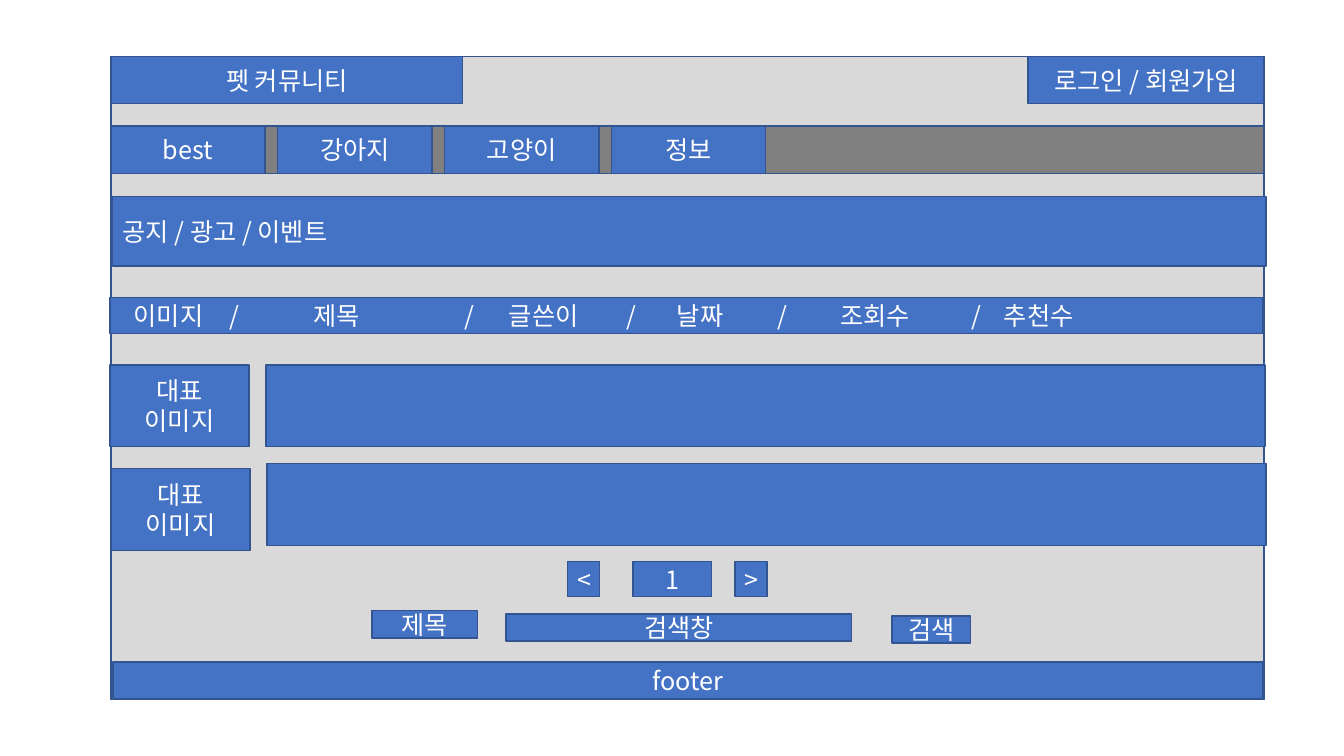
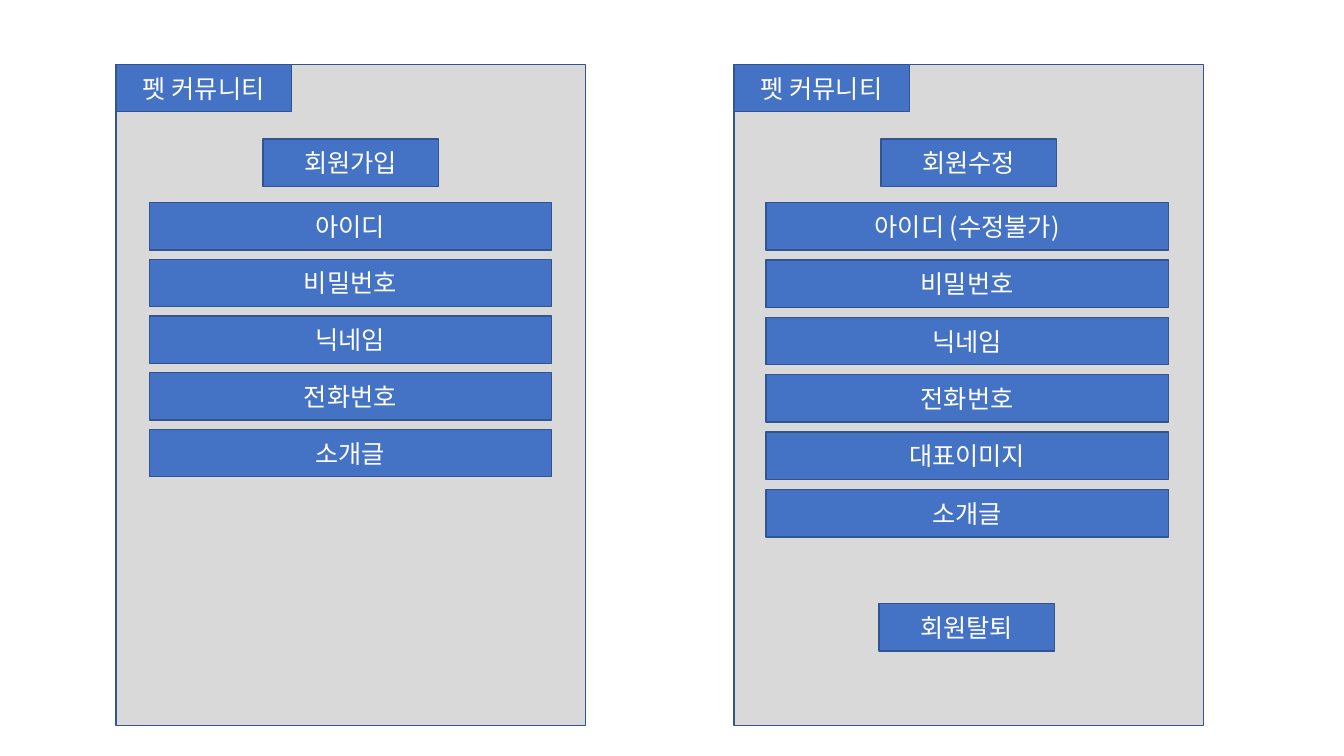
from dataclasses import dataclass

from pptx import Presentation
from pptx.dml.color import RGBColor
from pptx.enum.shapes import MSO_SHAPE
from pptx.enum.text import MSO_ANCHOR, PP_ALIGN
from pptx.oxml.ns import qn
from pptx.slide import Slide
from pptx.text.text import _Paragraph as Paragraph
from pptx.util import Pt
from lxml.etree import SubElement

# Shared style
BLUE = RGBColor(0x44, 0x72, 0xC4)
EDGE = RGBColor(0x32, 0x54, 0x91)
PANEL = RGBColor(0xD9, 0xD9, 0xD9)
GRAY = RGBColor(0x80, 0x80, 0x80)
WHITE = RGBColor(0xFF, 0xFF, 0xFF)
FONT = "Noto Sans CJK KR"
BAR_H = 33.8
SITE = "펫 커뮤니티"


@dataclass(frozen=True)
class Box:
    """A wireframe rectangle, measured in points."""
    x: float
    y: float
    w: float
    h: float
    text: str = ""
    fill: RGBColor = BLUE
    align: PP_ALIGN = PP_ALIGN.CENTER
    tabs: tuple[float, ...] = ()


@dataclass(frozen=True)
class Form:
    """A member form: panel, heading and a column of fields."""
    x: float
    heading: str
    fields: tuple[str, ...]
    field_x: float
    pitch: float


def style_paragraph(p: Paragraph, box: Box) -> None:
    p.alignment = box.align
    p.font.size = Pt(18)
    p.font.name = FONT
    p.font.color.rgb = WHITE
    props = p.font._element
    SubElement(props, qn("a:ea"), typeface=FONT)
    if box.tabs:
        tab_list = props.makeelement(qn("a:tabLst"))
        props.addprevious(tab_list)
        for stop in box.tabs:
            SubElement(tab_list, qn("a:tab"), pos=str(Pt(stop)), algn="l")


def draw_box(s: Slide, box: Box) -> None:
    sp = s.shapes.add_shape(MSO_SHAPE.RECTANGLE, Pt(box.x), Pt(box.y),
                            Pt(box.w), Pt(box.h))
    sp.shadow.inherit = False
    sp.fill.solid()
    sp.fill.fore_color.rgb = box.fill
    sp.line.color.rgb = EDGE
    sp.line.width = Pt(1)
    if box.text:
        tf = sp.text_frame
        tf.word_wrap = True
        tf.vertical_anchor = MSO_ANCHOR.MIDDLE
        tf.text = box.text
        for p in tf.paragraphs:
            style_paragraph(p, box)


def draw_form(s: Slide, form: Form) -> None:
    draw_box(s, Box(form.x, 46.1, 335.5, 472.3, fill=PANEL))
    draw_box(s, Box(form.x, 46.1, 125.3, BAR_H, SITE))
    draw_box(s, Box(form.x + 105.1, 99.4, 125.3, BAR_H, form.heading))
    for i, name in enumerate(form.fields):
        draw_box(s, Box(form.field_x, 144.7 + i * form.pitch, 287.3, BAR_H, name))


prs = Presentation()
prs.slide_width, prs.slide_height = Pt(960), Pt(540)
blank = prs.slide_layouts[6]

# Slide 1: community board
LEFT, WIDTH = 79.2, 823.7
MENU = ("best", "강아지", "고양이", "정보")
COLUMNS = ("이미지", "제목", "글쓴이", "날짜", "조회수", "추천수")
COLUMN_TABS = (10, 78.5, 138.5, 246.5, 278, 362, 398, 470, 514.5, 608.5, 631.5)

header = [
    Box(LEFT, 40.3, WIDTH, 459.4, fill=PANEL),
    Box(LEFT, 40.3, 251.3, BAR_H, SITE),
    Box(734.4, 40.3, 168.5, BAR_H, "로그인 / 회원가입"),
    Box(LEFT, 90, WIDTH, BAR_H, fill=GRAY),
]
menu = [Box(LEFT + i * 119.2, 90, 110.2, BAR_H, name)
        for i, name in enumerate(MENU)]
board = [
    Box(80.6, 140.4, WIDTH, 49.7, "공지 / 광고 / 이벤트", align=PP_ALIGN.LEFT),
    Box(78.5, 212.4, WIDTH, 25.9, "\t" + "\t/\t".join(COLUMNS),
        align=PP_ALIGN.LEFT, tabs=COLUMN_TABS),
]
for x, image_y, post_y in ((78.5, 260.6, 260.6), (79.2, 334.8, 331.2)):
    board += [Box(x, image_y, 99.4, 58.3, "대표\n이미지"),
              Box(x + 111.6, post_y, 713.5, 58.3)]
paging = [Box(x, 401, w, 25.2, text)
          for x, w, text in ((405.4, 23, "<"), (452.2, 56.2, "1"), (524.9, 23, ">"))]
search = [Box(x, y, w, 19.4, text)
          for x, y, w, text in ((265.7, 436.3, 75.6, "제목"),
                                (361.4, 438.5, 247, "검색창"),
                                (637.2, 439.9, 56.2, "검색"))]
footer = [Box(80.6, 473, 821.5, 25.9, "footer")]

s = prs.slides.add_slide(blank)
for box in header + menu + board + paging + search + footer:
    draw_box(s, box)

# Slide 2: sign-up and profile forms
FORMS = (
    Form(82.8, "회원가입",
         ("아이디", "비밀번호", "닉네임", "전화번호", "소개글"), 106.6, 40.5),
    Form(524.2, "회원수정",
         ("아이디 (수정불가)", "비밀번호", "닉네임", "전화번호", "대표이미지", "소개글"),
         547.2, 41),
)
s = prs.slides.add_slide(blank)
for form in FORMS:
    draw_form(s, form)
draw_box(s, Box(627.8, 431.3, 125.3, BAR_H, "회원탈퇴"))

prs.save("out.pptx")
